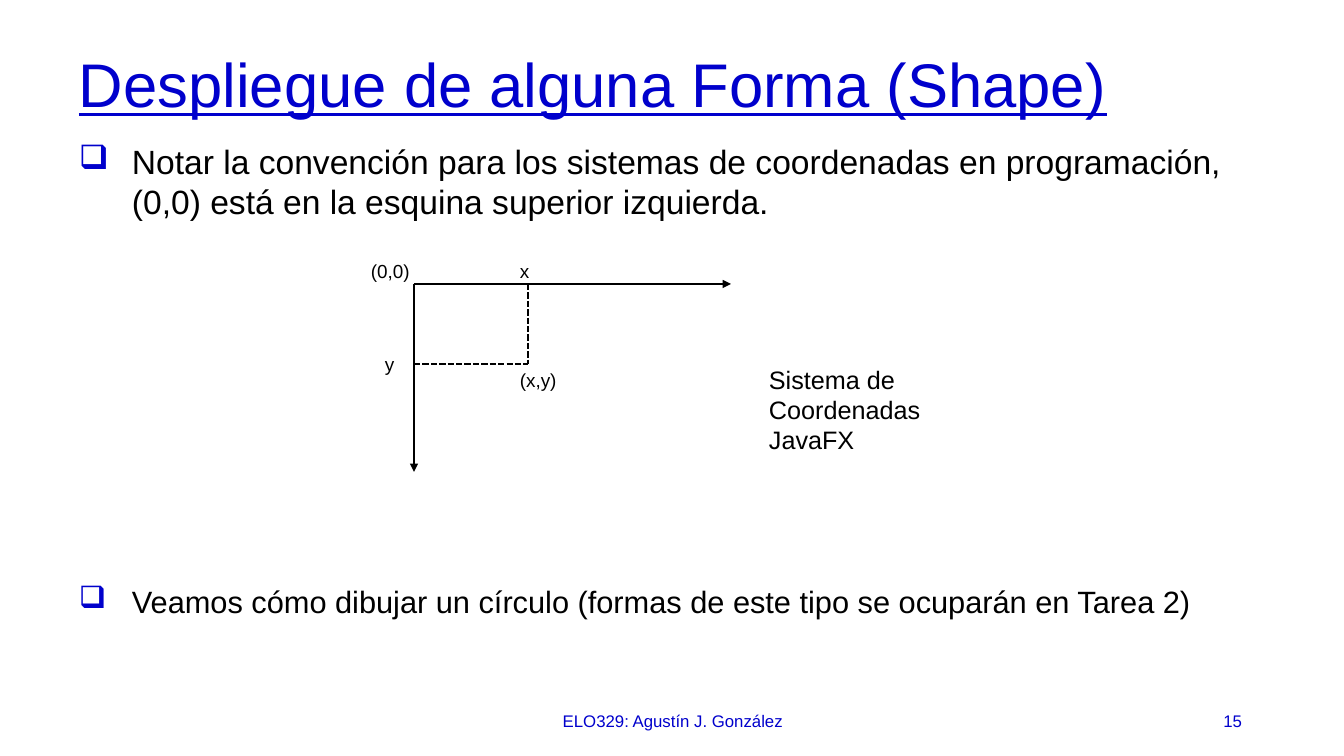
import pptx
import pptx.dml.color
import pptx.enum.dml
import pptx.enum.shapes
import pptx.enum.text
import pptx.oxml
import pptx.oxml.ns
import pptx.util
from dataclasses import dataclass

# Content
TITLE = "Despliegue de alguna Forma (Shape)"
BULLETS = [  # text, top, height, type size
    ("Notar la convención para los sistemas de coordenadas en programación, "
     "(0,0) está en la esquina superior izquierda.", 136, 277, 24),
    ("Veamos cómo dibujar un círculo (formas de este tipo se ocuparán en Tarea 2)",
     578, 120, 22),
]
CAPTION = "Sistema de Coordenadas JavaFX"
FOOTER = "ELO329: Agustín J. González"
PAGE_NUMBER = "15"


@dataclass(frozen=True)
class Theme:
    font: str = "Arial"
    ink: str = "000000"
    accent: str = "0000CC"
    paper: str = "FFFFFF"
    title: float = 44
    caption: float = 18
    label: float = 13.5
    footer: float = 12
    stroke: float = 1.5


THEME = Theme()
ALIGN = pptx.enum.text.PP_ALIGN
ANCHOR = pptx.enum.text.MSO_ANCHOR

# Layout in px
PX_PER_INCH = 100.8
PAGE_WIDTH, PAGE_HEIGHT = 1344, 756
MARGIN, BODY_WIDTH = 69, 1218
BULLET_INDENT = 53
ORIGIN_X, ORIGIN_Y = 414, 284
POINT_X, POINT_Y = 528, 364
AXIS_END_X, AXIS_END_Y = 731, 472
FOOTER_TOP, FOOTER_HEIGHT = 701, 40

LINES = [  # start x, start y, end x, end y, is an axis
    (ORIGIN_X, ORIGIN_Y, AXIS_END_X, ORIGIN_Y, True),
    (ORIGIN_X, ORIGIN_Y, ORIGIN_X, AXIS_END_Y, True),
    (POINT_X, ORIGIN_Y, POINT_X, POINT_Y, False),
    (ORIGIN_X, POINT_Y, POINT_X, POINT_Y, False),
]
LABELS = [  # text, left, top, width, height
    ("(0,0)", ORIGIN_X - 53, ORIGIN_Y - 29, 89, 49),
    ("x", POINT_X - 18, ORIGIN_Y - 29, 53, 31),
    ("y", ORIGIN_X - 39, POINT_Y - 16, 53, 31),
    ("(x,y)", POINT_X - 18, POINT_Y, 89, 49),
]


def px(length):
    return pptx.util.Emu(round(length * 914400 / PX_PER_INCH))


def rgb(color):
    return pptx.dml.color.RGBColor.from_string(color)


def add_element(parent, tag, **attributes):
    element = pptx.oxml.parse_xml(f"<a:{tag} {pptx.oxml.ns.nsdecls('a')}/>")
    for name, value in attributes.items():
        element.set(name, str(value))
    parent.append(element)
    return element


def add_text(page, text, left, top, width, height, *, size, color=THEME.ink,
             align=ALIGN.LEFT, anchor=ANCHOR.TOP, underline=False,
             line_spacing=None, bullet=None):
    box = page.shapes.add_textbox(px(left), px(top), px(width), px(height))
    frame = box.text_frame
    frame.word_wrap = True
    frame.vertical_anchor = anchor
    para = frame.paragraphs[0]
    para.alignment = align
    if line_spacing:
        para.line_spacing = line_spacing
    if bullet:
        para.space_after = pptx.util.Pt(4)
        settings = para._p.get_or_add_pPr()
        settings.set("marL", str(px(BULLET_INDENT)))
        settings.set("indent", str(-px(BULLET_INDENT)))
        add_element(add_element(settings, "buClr"), "srgbClr", val=THEME.accent)
        add_element(settings, "buChar", char=bullet)
    span = para.add_run()
    span.text = text
    span.font.name = THEME.font
    span.font.size = pptx.util.Pt(size)
    span.font.color.rgb = rgb(color)
    if underline:
        span.font.underline = True


def add_line(page, start_x, start_y, end_x, end_y, is_axis):
    connector = page.shapes.add_connector(
        pptx.enum.shapes.MSO_CONNECTOR.STRAIGHT,
        px(start_x), px(start_y), px(end_x), px(end_y))
    connector.line.color.rgb = rgb(THEME.ink)
    connector.line.width = pptx.util.Pt(THEME.stroke)
    if is_axis:
        add_element(connector.line._get_or_add_ln(), "tailEnd", type="triangle")
    else:
        connector.line.dash_style = pptx.enum.dml.MSO_LINE.SQUARE_DOT
    add_element(connector._element.spPr, "effectLst")


def main():
    deck = pptx.Presentation()
    deck.slide_width, deck.slide_height = px(PAGE_WIDTH), px(PAGE_HEIGHT)
    page = deck.slides.add_slide(deck.slide_layouts[6])
    page.background.fill.solid()
    page.background.fill.fore_color.rgb = rgb(THEME.paper)

    # Title and bullets
    add_text(page, TITLE, MARGIN, 40, BODY_WIDTH, 96, size=THEME.title,
             color=THEME.accent, anchor=ANCHOR.MIDDLE, underline=True,
             line_spacing=0.9)
    for text, top, height, size in BULLETS:
        add_text(page, text, MARGIN, top, BODY_WIDTH, height, size=size, bullet="❑")

    # Coordinate system
    for line in LINES:
        add_line(page, *line)
    for label in LABELS:
        add_text(page, *label, size=THEME.label)
    add_text(page, CAPTION, 759, 359, 228, 95, size=THEME.caption)

    # Footer
    for text, left, width, align in [(FOOTER, 446, 454, ALIGN.CENTER),
                                     (PAGE_NUMBER, 950, 302, ALIGN.RIGHT)]:
        add_text(page, text, left, FOOTER_TOP, width, FOOTER_HEIGHT,
                 size=THEME.footer, color=THEME.accent, align=align,
                 anchor=ANCHOR.MIDDLE)

    deck.save("out.pptx")


if __name__ == "__main__":
    main()
